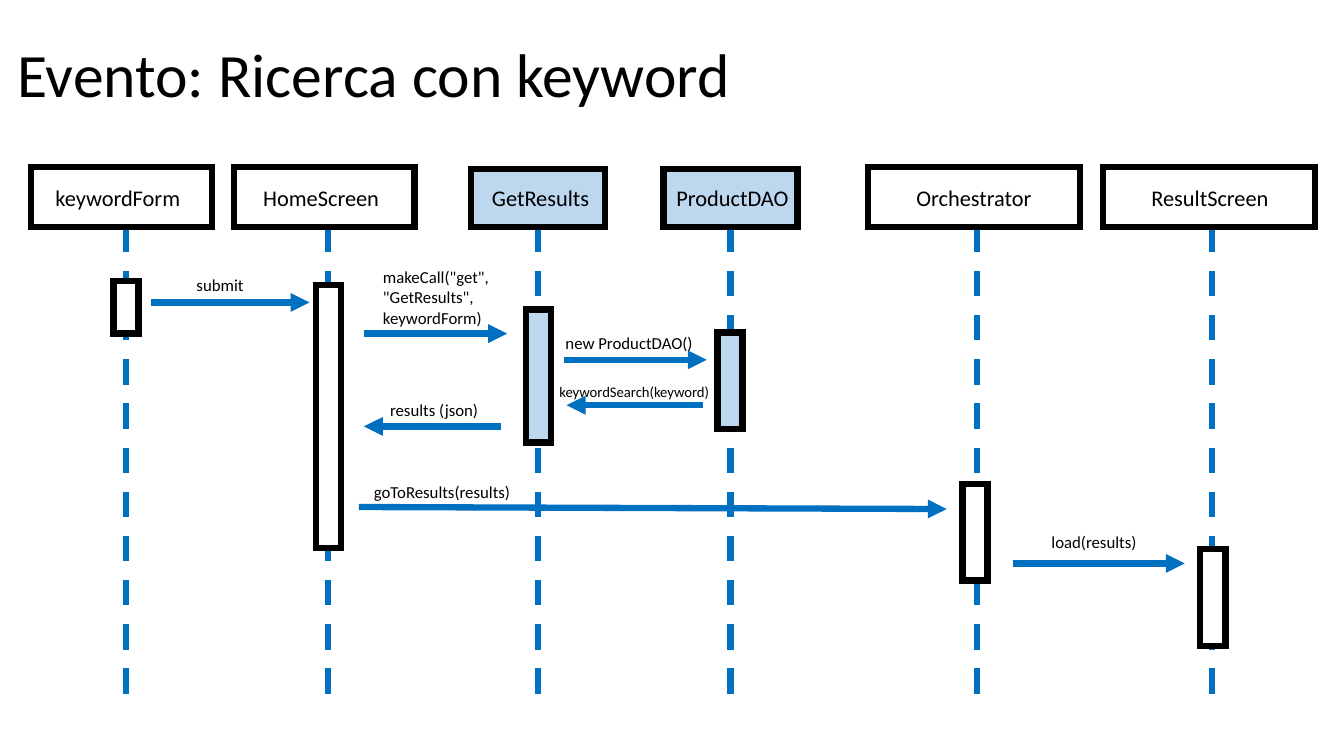
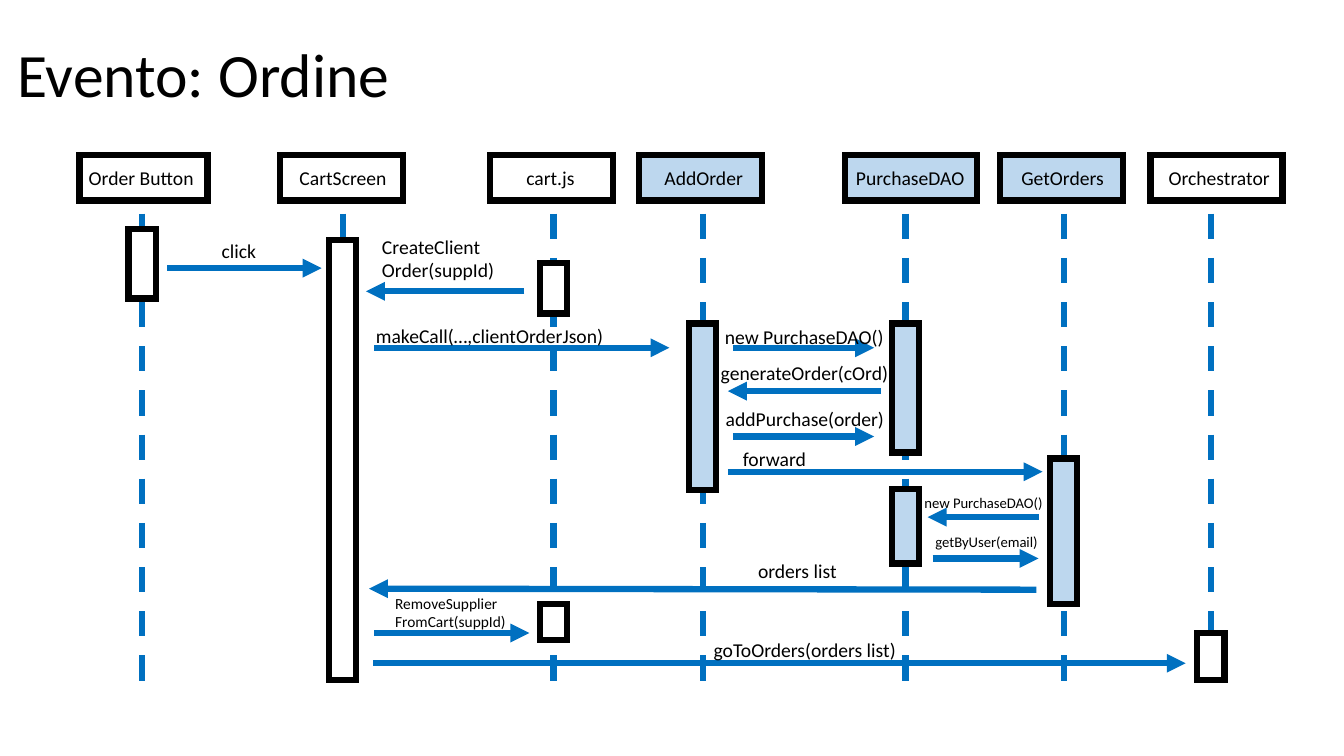
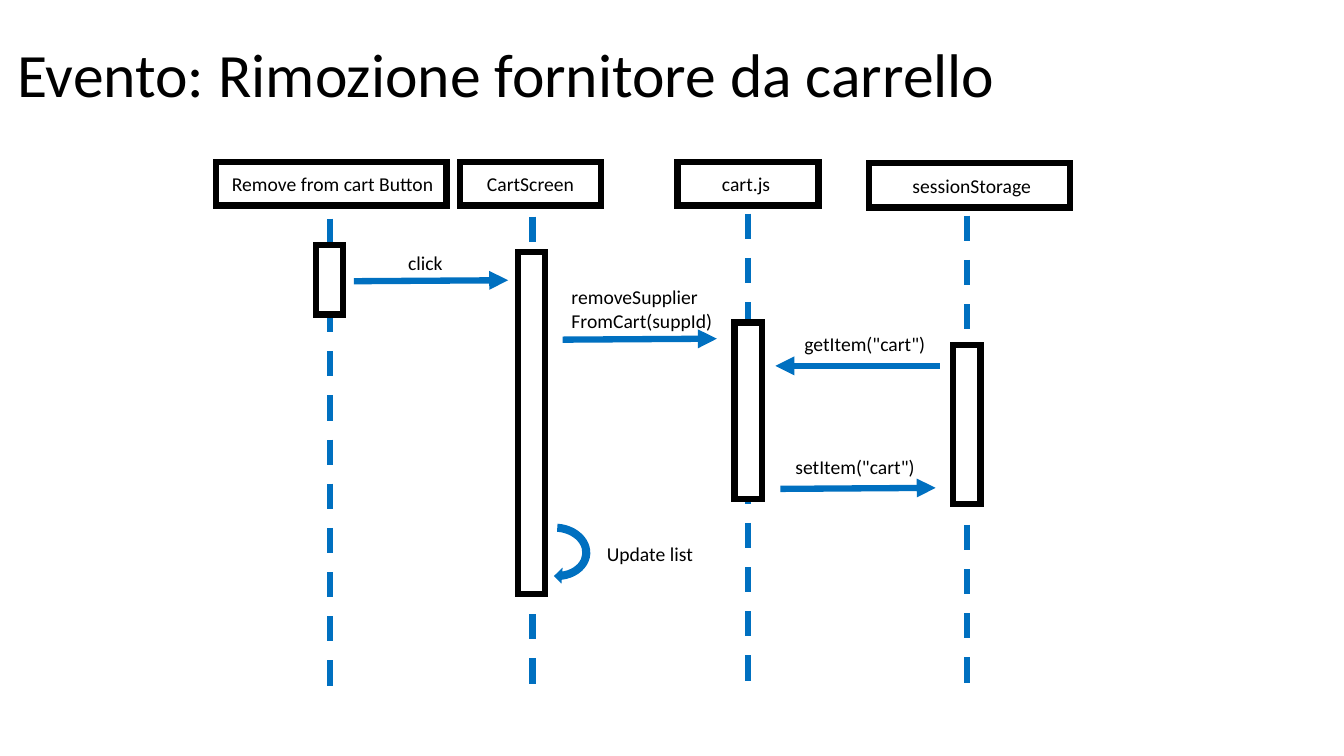
from dataclasses import dataclass
from typing import Any

import lxml.etree
import pptx
import pptx.dml.color
import pptx.enum.dml
import pptx.enum.shapes
import pptx.enum.text
import pptx.oxml.ns
import pptx.util

EMU_PER_PX = 9144  # 100 px to the inch
TITLE_ONLY = 5
BOTTOM_SITE = 2
LIFELINE_LENGTH = 474


# Theme
@dataclass(frozen=True)
class Theme:
    font: str = "Calibri"
    ink: str = "000000"
    arrow: str = "0070C0"
    client: str = "FFFFFF"
    server: str = "BDD7EE"
    stroke: float = 4.5
    title: float = 44
    large: float = 16
    medium: float = 14
    small: float = 12
    compact: float = 11
    tiny: float = 10.5


THEME = Theme()


# Parts of a sequence diagram
@dataclass(frozen=True)
class Bar:
    top: int
    height: int
    shift: int = 0


@dataclass(frozen=True)
class Participant:
    name: str
    header: tuple[int, int, int, int]
    inset: int
    axis: int
    line_top: int
    bars: tuple[Bar, ...]
    fill: str = THEME.client


@dataclass(frozen=True)
class Label:
    text: str
    left: int
    top: int
    width: int
    size: float = THEME.medium


@dataclass(frozen=True)
class Message:
    label: Label
    start: tuple[int, int]
    end: tuple[int, int]


@dataclass(frozen=True)
class SelfCall:
    label: Label
    frame: tuple[int, int, int, int]
    rotation: int


@dataclass(frozen=True)
class Diagram:
    title: str
    header_size: float
    bar_width: int
    participants: tuple[Participant, ...]
    messages: tuple[Message, ...]
    self_calls: tuple[SelfCall, ...] = ()


SEARCH = Diagram(
    "Evento: Ricerca con keyword", THEME.large, 25,
    (
        Participant("keywordForm", (31, 166, 179, 59), 24, 125, 225, (Bar(279, 52),)),
        Participant("HomeScreen", (232, 166, 179, 59), 29, 325, 225, (Bar(283, 261, 1),)),
        Participant("GetResults", (467, 168, 133, 57), 21, 534, 225,
                    (Bar(307, 132),), THEME.server),
        Participant("ProductDAO", (658, 168, 133, 57), 13, 725, 225,
                    (Bar(330, 96, -1),), THEME.server),
        Participant("Orchestrator", (861, 166, 210, 59), 48, 969, 225, (Bar(480, 96, -2),)),
        Participant("ResultScreen", (1094, 166, 210, 59), 48, 1202, 225, (Bar(545, 96, 1),)),
    ),
    (
        Message(Label("submit", 185, 268, 78, THEME.small), (150, 300), (307, 300)),
        Message(Label('makeCall("get", "GetResults", keywordForm)', 370, 260, 189, THEME.small),
                (361, 331), (503, 331)),
        Message(Label("new ProductDAO()", 551, 325, 152, THEME.small), (559, 357), (701, 357)),
        Message(Label("keywordSearch(keyword)", 545, 375, 193, THEME.tiny),
                (697, 402), (562, 402)),
        Message(Label("results (json)", 377, 392, 115, THEME.small), (497, 423), (361, 423)),
        Message(Label("goToResults(results)", 361, 473, 167, THEME.small),
                (356, 503), (939, 505)),
        Message(Label("load(results)", 1033, 523, 106, THEME.small), (1005, 559), (1175, 559)),
    ),
)

ORDER = Diagram(
    "Evento: Ordine", THEME.medium, 27,
    (
        Participant("Order Button", (79, 154, 127, 45), 9, 141, 212, (Bar(227, 69),)),
        Participant("CartScreen", (278, 154, 122, 45), 19, 340, 212, (Bar(238, 437),)),
        Participant("cart.js", (486, 154, 122, 45), 36, 549, 212, (Bar(261, 50), Bar(599, 36))),
        Participant("AddOrder", (634, 154, 122, 45), 25, 697, 212,
                    (Bar(321, 165),), THEME.server),
        Participant("PurchaseDAO", (838, 154, 131, 45), 11, 898, 212,
                    (Bar(321, 128), Bar(485, 74)), THEME.server),
        Participant("GetOrders", (992, 154, 122, 45), 21, 1055, 212,
                    (Bar(455, 144),), THEME.server),
        Participant("Orchestrator", (1141, 154, 131, 45), 18, 1201, 212, (Bar(628, 47),)),
    ),
    (
        Message(Label("click", 210, 232, 86), (166, 266), (319, 266)),
        Message(Label("CreateClient\nOrder(suppId)", 369, 228, 235), (520, 289), (363, 289)),
        Message(Label("makeCall(…,clientOrderJson)", 363, 316, 266), (371, 345), (664, 345)),
        Message(Label("new PurchaseDAO()", 709, 317, 182), (727, 345), (867, 345)),
        Message(Label("generateOrder(cOrd)", 705, 353, 210), (874, 388), (722, 388)),
        Message(Label("addPurchase(order)", 710, 399, 210), (727, 433), (867, 433)),
        Message(Label("forward", 727, 438, 92), (722, 468), (1034, 468)),
        Message(Label("new PurchaseDAO()", 907, 485, 182, THEME.tiny), (1030, 513), (920, 513)),
        Message(Label("getByUser(email)", 918, 524, 182, THEME.tiny), (925, 554), (1030, 554)),
        Message(Label("orders list", 742, 550, 266), (1028, 585), (366, 584)),
        Message(Label("RemoveSupplier\nFromCart(suppId)", 382, 584, 261, THEME.compact),
                (371, 628), (525, 628)),
        Message(Label("goToOrders(orders list)", 698, 628, 266), (370, 658), (1176, 658)),
    ),
)

REMOVAL = Diagram(
    "Evento: Rimozione fornitore da carrello", THEME.medium, 27,
    (
        Participant("Remove from cart Button", (214, 161, 229, 43), 16, 327, 217,
                    (Bar(243, 69),)),
        Participant("CartScreen", (456, 161, 140, 43), 27, 528, 215, (Bar(250, 339, -1),)),
        Participant("cart.js", (672, 161, 140, 43), 44, 742, 212, (Bar(320, 175),)),
        Participant("sessionStorage", (862, 162, 199, 44), 43, 959, 214, (Bar(342, 158),)),
    ),
    (
        Message(Label("click", 395, 244, 86), (351, 279), (504, 278)),
        Message(Label("removeSupplier\nFromCart(suppId)", 557, 278, 213), (558, 337), (711, 336)),
        Message(Label('getItem("cart")', 788, 324, 213), (932, 363), (769, 363)),
        Message(Label('setItem("cart")', 779, 446, 213), (774, 485), (928, 484)),
    ),
    (SelfCall(Label("Update list", 592, 533, 126), (519, 509, 64, 77), 94),),
)


# Formatting helpers
def px(value: float) -> pptx.util.Emu:
    return pptx.util.Emu(round(value * EMU_PER_PX))


def rgb(value: str) -> pptx.dml.color.RGBColor:
    return pptx.dml.color.RGBColor.from_string(value)


def apply_format(target: Any, values: dict[str, Any]) -> None:
    for name, value in values.items():
        setattr(target, name, value)


def add_element(parent: Any, tag: str, **attributes: str) -> None:
    lxml.etree.SubElement(parent, pptx.oxml.ns.qn(tag), attributes)


def write_text(frame: Any, text: str, size: float, **frame_format: Any) -> None:
    frame.text = text
    apply_format(frame, {"word_wrap": True, **frame_format})
    for para in frame.paragraphs:
        para.alignment = pptx.enum.text.PP_ALIGN.LEFT
        for span in para.runs:
            apply_format(span.font, {"name": THEME.font, "size": pptx.util.Pt(size)})
            span.font.color.rgb = rgb(THEME.ink)


# Drawing functions
def draw_title(page: Any, text: str) -> None:
    title = page.shapes.title
    apply_format(title, {"left": px(7), "top": px(4), "width": px(1208), "height": px(145)})
    write_text(title.text_frame, text, THEME.title,
               vertical_anchor=pptx.enum.text.MSO_ANCHOR.MIDDLE,
               auto_size=pptx.enum.text.MSO_AUTO_SIZE.NONE)
    title.text_frame.paragraphs[0].line_spacing = 0.9


def draw_shape(page: Any, kind: Any, frame: tuple[float, ...], fill: str) -> Any:
    shape = page.shapes.add_shape(kind, *map(px, frame))
    shape.shadow.inherit = False
    shape.fill.solid()
    shape.fill.fore_color.rgb = rgb(fill)
    shape.line.fill.background()
    return shape


def draw_box(page: Any, frame: tuple[float, ...], fill: str) -> Any:
    box = draw_shape(page, pptx.enum.shapes.MSO_SHAPE.RECTANGLE, frame, fill)
    box.line.color.rgb = rgb(THEME.ink)
    box.line.width = pptx.util.Pt(THEME.stroke)
    add_element(box.line._get_or_add_ln(), "a:miter", lim="800000")
    return box


def draw_line(page: Any, start: tuple[int, int], end: tuple[int, int]) -> Any:
    line = page.shapes.add_connector(
        pptx.enum.shapes.MSO_CONNECTOR.STRAIGHT, *map(px, (*start, *end)))
    line.line.color.rgb = rgb(THEME.arrow)
    line.line.width = pptx.util.Pt(THEME.stroke)
    add_element(line._element.spPr, "a:effectLst")
    return line


def draw_label(page: Any, label: Label) -> None:
    lines = label.text.count("\n") + 1
    height = 10 + lines * label.size * 1.2 * 100 / 72
    box = page.shapes.add_textbox(*map(px, (label.left, label.top, label.width, height)))
    write_text(box.text_frame, label.text, label.size,
               auto_size=pptx.enum.text.MSO_AUTO_SIZE.SHAPE_TO_FIT_TEXT)


def draw_participant(page: Any, person: Participant, size: float, bar_width: int) -> None:
    left, top, width, height = person.header
    line = draw_line(page, (person.axis, person.line_top),
                     (person.axis, person.line_top + LIFELINE_LENGTH))
    line.line.dash_style = pptx.enum.dml.MSO_LINE.DASH
    header = draw_box(page, person.header, person.fill)
    write_text(header.text_frame, person.name, size,
               vertical_anchor=pptx.enum.text.MSO_ANCHOR.MIDDLE,
               margin_left=px(person.inset), margin_right=0, margin_top=0, margin_bottom=0)
    # Join the lifeline where it leaves the middle of the header's lower side
    if person.line_top == top + height and abs(left + width / 2 - person.axis) <= 1:
        line.begin_connect(header, BOTTOM_SITE)
        line.end_x = line.begin_x
    for bar in person.bars:
        bar_left = person.axis - bar_width / 2 + bar.shift
        draw_box(page, (bar_left, bar.top, bar_width, bar.height), person.fill)


def draw_message(page: Any, message: Message) -> None:
    arrow = draw_line(page, message.start, message.end)
    add_element(arrow.line._get_or_add_ln(), "a:tailEnd", type="triangle")
    draw_label(page, message.label)


def draw_self_call(page: Any, call: SelfCall) -> None:
    arrow = draw_shape(page, pptx.enum.shapes.MSO_SHAPE.CIRCULAR_ARROW, call.frame, THEME.arrow)
    arrow.rotation = call.rotation
    draw_label(page, call.label)


def draw_diagram(deck: Any, diagram: Diagram) -> None:
    page = deck.slides.add_slide(deck.slide_layouts[TITLE_ONLY])
    draw_title(page, diagram.title)
    for person in diagram.participants:
        draw_participant(page, person, diagram.header_size, diagram.bar_width)
    for message in diagram.messages:
        draw_message(page, message)
    for call in diagram.self_calls:
        draw_self_call(page, call)


def main() -> None:
    deck = pptx.Presentation()
    apply_format(deck, {"slide_width": px(1333), "slide_height": px(750)})
    for diagram in (SEARCH, ORDER, REMOVAL):
        draw_diagram(deck, diagram)
    deck.save("out.pptx")


if __name__ == "__main__":
    main()
